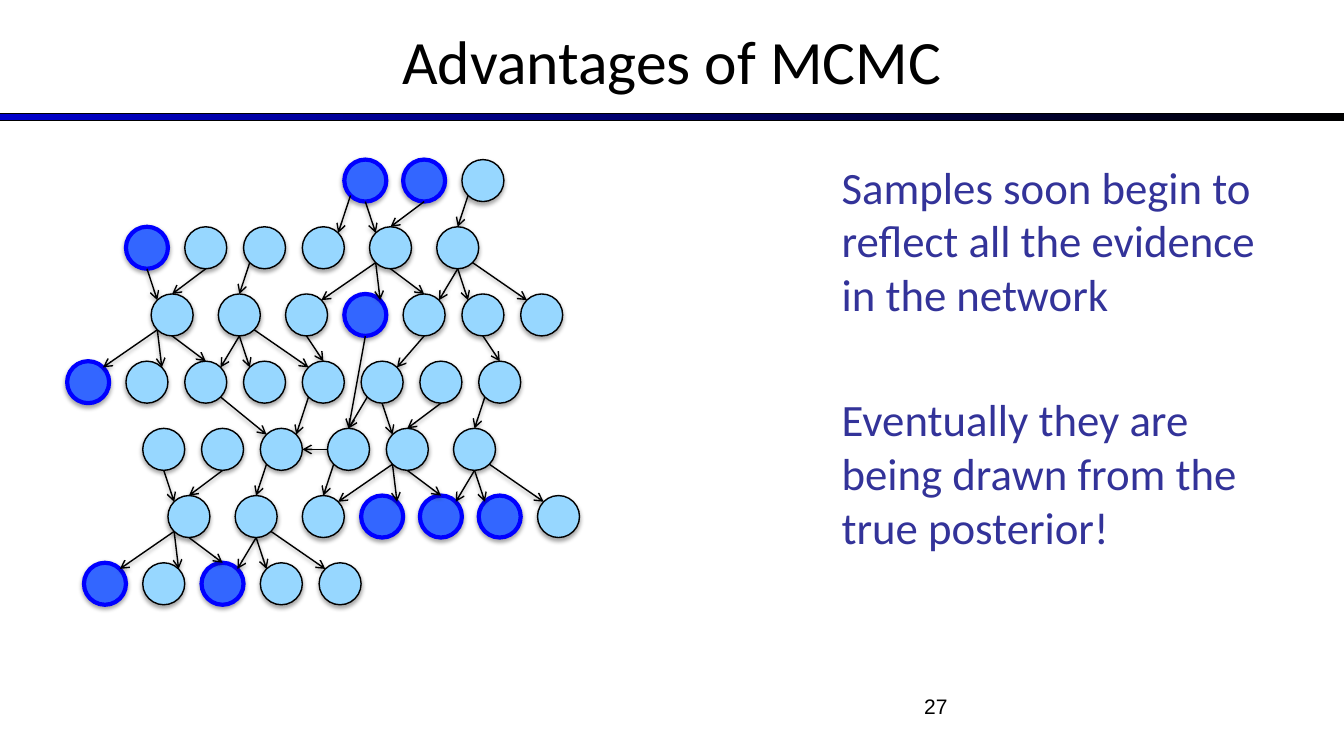
from math import sqrt

from pptx import Presentation
from pptx.dml.color import RGBColor
from pptx.enum.shapes import MSO_CONNECTOR as Link, MSO_SHAPE as Shape
from pptx.enum.text import MSO_ANCHOR as Anchor, MSO_AUTO_SIZE as AutoSize, PP_ALIGN as Align
from pptx.oxml import parse_xml
from pptx.oxml.ns import nsdecls, qn
from pptx.util import Cm, Pt

# Content
TITLE = "Advantages of MCMC"
CLAIMS = [
    "Samples soon begin to reflect all the evidence in the network",
    "Eventually they are being drawn from the true posterior!",
]
PAGE_NUMBER = "27"

# Left edges of the nodes in each row, in grid units
ROWS = {
    "A": [41, 48, 55],
    "B": [15, 22, 29, 36, 44, 52],
    "C": [18, 26, 34, 41, 48, 55, 62],
    "D": [8, 15, 22, 29, 36, 43, 50, 57],
    "E": [17, 24, 31, 39, 46, 54],
    "F": [20, 28, 36, 43, 50, 57, 64],
    "G": [10, 17, 24, 31, 38],
}
EVIDENCE = {"A0", "A1", "B0", "C3", "D0", "F3", "F4", "F5", "G0", "G2"}

# Arrows as node.side>node.side, with sides made of T, B, L and R
EDGES = """
A0.B>B4.TL A1.B>B4.T A2.BL>B5.T A0.BL>B3.TR
B0.B>C0.TL B1.B>C0.T B2.BL>C1.T B4.BL>C2.TR B4.BL>C3.TR
B4.B>C4.T B5.B>C5.TL B5.BR>C6.TL B5.B>C4.TR
C0.BL>D0.TR C0.BL>D1.TR C0.B>D2.T C1.B>D3.TL C1.BR>D4.TL
C1.B>D2.TR C2.B>D4.T C4.B>D5.TR C5.B>D7.T C3.B>E3.T
D5.B>E4.TL D6.B>E4.T D7.BL>E5.T D4.BL>E2.TR D2.BR>E2.TL D5.BL>E3.T
E3.L>E2.R E0.B>F0.TL E1.B>F0.T E2.BL>F1.T E3.BL>F2.T E4.BL>F2.TR
E4.BL>F3.TR E4.B>F4.T E5.B>F5.TL E5.BR>F6.TL E5.B>F4.TR
F0.BL>G0.TR F0.BL>G1.TR F0.B>G2.T F1.B>G3.TL F1.BR>G4.TL F1.B>G2.TR
""".split()

# Look
BLACK = RGBColor(0x00, 0x00, 0x00)
BAR_BLUE = RGBColor(0x00, 0x00, 0xCC)
TEXT_BLUE = RGBColor(0x33, 0x33, 0x99)
EVIDENCE_FILL = RGBColor(0x33, 0x66, 0xFF)
EVIDENCE_LINE = RGBColor(0x00, 0x00, 0xFF)
PLAIN_FILL = RGBColor(0x97, 0xD7, 0xFF)
UNIT = Cm(2.54 / 12)
DIAMETER, FIRST_ROW, ROW_STEP = 5, 19, 8
STEPS = {"T": (0, -1), "B": (0, 1), "L": (-1, 0), "R": (1, 0)}

deck = Presentation()
deck.slide_width, deck.slide_height = Cm(33.87), Cm(19.05)
page = deck.slides.add_slide(deck.slide_layouts[5])


def write(box, texts, size, font="Calibri", color=BLACK, align=Align.LEFT,
          anchor=Anchor.TOP, gap=0):
    frame = box.text_frame
    frame.word_wrap = True
    frame.auto_size = AutoSize.NONE
    frame.vertical_anchor = anchor
    for index, text in enumerate(texts):
        para = frame.add_paragraph() if index else frame.paragraphs[0]
        para.alignment = align
        para.space_before = Pt(gap if index else 0)
        span = para.add_run()
        span.text = text
        span.font.name, span.font.size = font, Pt(size)
        span.font.color.rgb = color


def add_shadow(item, distance, opacity):
    item.element.spPr.append(parse_xml(
        f'<a:effectLst {nsdecls("a")}><a:outerShdw blurRad="{Pt(3.1)}" '
        f'dist="{Pt(distance)}" dir="5400000" rotWithShape="0">'
        f'<a:srgbClr val="000000"><a:alpha val="{opacity * 1000}"/></a:srgbClr>'
        '</a:outerShdw></a:effectLst>'))


def add_node(name):
    left, top = corners[name]
    known = name in EVIDENCE
    node = page.shapes.add_shape(Shape.OVAL, left, top, DIAMETER * UNIT, DIAMETER * UNIT)
    node.fill.solid()
    node.fill.fore_color.rgb = EVIDENCE_FILL if known else PLAIN_FILL
    node.line.color.rgb = EVIDENCE_LINE if known else BLACK
    node.line.width = Pt(3 if known else 1)
    add_shadow(node, distance=1.8, opacity=35)


def rim_point(place):
    name, side = place.split(".")
    radius = DIAMETER * UNIT / 2
    reach = radius / sqrt(len(side))
    return [round(corner + radius + reach * sum(STEPS[letter][axis] for letter in side))
            for axis, corner in enumerate(corners[name])]


def add_arrow(edge):
    start, end = edge.split(">")
    arrow = page.shapes.add_connector(Link.STRAIGHT, *rim_point(start), *rim_point(end))
    arrow.line.color.rgb = BLACK
    arrow.line.width = Pt(1)
    arrow.element.spPr.find(qn("a:ln")).append(
        parse_xml(f'<a:tailEnd {nsdecls("a")} type="arrow"/>'))
    add_shadow(arrow, distance=1.6, opacity=38)


# Bar under the title
bar = page.shapes.add_shape(Shape.RECTANGLE, 0, Cm(2.86), deck.slide_width, Cm(0.18))
bar.shadow.inherit = False
bar.fill.gradient()
bar.fill.gradient_angle = 0
for stop, color, position in zip(bar.fill.gradient_stops, (BAR_BLUE, BLACK), (0, 1)):
    stop.color.rgb = color
    stop.position = position
bar.line.color.rgb = BLACK
bar.line.width = Pt(0.75)

# Title, claims and page number
title = page.shapes.title
title.left, title.top, title.width, title.height = 0, Cm(-0.08), deck.slide_width, Cm(3.18)
write(title, [TITLE], 44, align=Align.CENTER, anchor=Anchor.MIDDLE)

claims = page.shapes.add_textbox(Cm(20.96), Cm(3.89), Cm(11.79), Cm(13.13))
write(claims, CLAIMS, 32, color=TEXT_BLUE, gap=51)

number = page.shapes.add_textbox(Cm(18.21), Cm(17.35), Cm(5.92), Cm(1.32))
write(number, [PAGE_NUMBER], 15, font="Arial", align=Align.RIGHT)

# Network: evidence at the back, then arrows, then plain nodes
corners = {
    f"{letter}{index}": (left * UNIT, (FIRST_ROW + ROW_STEP * row) * UNIT)
    for row, (letter, lefts) in enumerate(ROWS.items())
    for index, left in enumerate(lefts)
}
for name in sorted(EVIDENCE):
    add_node(name)
for edge in EDGES:
    add_arrow(edge)
for name in corners:
    if name not in EVIDENCE:
        add_node(name)

deck.save("out.pptx")
